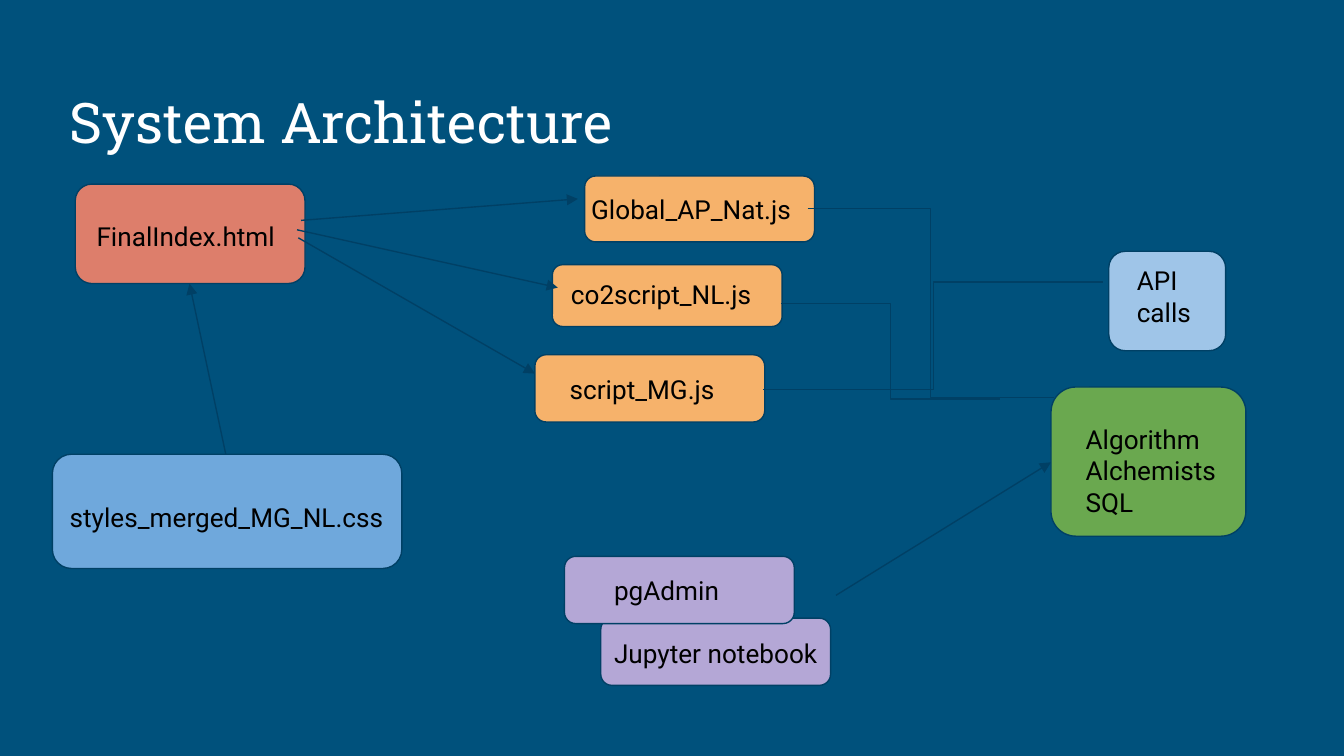
"""Build the System Architecture slide."""
from dataclasses import dataclass

from lxml import etree
from pptx import Presentation
from pptx import util as u
from pptx.dml import color
from pptx.enum import shapes, text
from pptx.oxml import ns


@dataclass(frozen=True)
class Theme:
    """Colours, fonts and type sizes of the slide."""
    background: str = "00517C"
    outline: str = "004065"
    heading: str = "FFFFFF"
    body: str = "000000"
    database: str = "6AA84F"
    api: str = "9FC5E8"
    tool: str = "B4A7D6"
    script: str = "F6B26B"
    style: str = "6FA8DC"
    page: str = "DD7E6B"
    heading_font: str = "Roboto Slab"
    body_font: str = "Roboto"
    heading_size: float = 30
    body_size: float = 14
    outline_width: float = 0.75


@dataclass(frozen=True)
class Node:
    """A rounded component box, in inches."""
    left: float
    top: float
    width: float
    height: float
    fill: str


@dataclass(frozen=True)
class Label:
    """Paragraphs placed at a spot, in inches, with the gap between them in points."""
    left: float
    top: float
    width: float
    height: float
    paragraphs: tuple[str, ...]
    gap: float = 0


@dataclass(frozen=True)
class Link:
    """A straight arrow or a plain elbow between two points."""
    start: tuple[float, float]
    end: tuple[float, float]
    elbow: bool = False


THEME = Theme()
SCRIPT_WIDTH = 1.71

NODES = (
    Node(7.82, 2.88, 1.45, 1.11, THEME.database),
    Node(8.25, 1.87, 0.87, 0.74, THEME.api),
    Node(4.47, 4.6, SCRIPT_WIDTH, 0.5, THEME.tool),
    Node(4.2, 4.14, SCRIPT_WIDTH, 0.5, THEME.tool),
    Node(3.98, 2.64, SCRIPT_WIDTH, 0.5, THEME.script),
    Node(4.11, 1.97, SCRIPT_WIDTH, 0.46, THEME.script),
    Node(4.35, 1.31, SCRIPT_WIDTH, 0.49, THEME.script),
    Node(0.39, 3.38, 2.6, 0.85, THEME.style),
    Node(0.56, 1.37, SCRIPT_WIDTH, 0.74, THEME.page),
)

LABELS = (
    Label(0.42, 3.63, 3.26, 0.49, ("styles_merged_MG_NL.css",)),
    Label(0.62, 1.54, 3.52, 0.41, ("FinalIndex.html",)),
    Label(4.3, 1.34, 2.35, 0.28, ("Global_AP_Nat.js",)),
    Label(4.15, 1.97, 2.1, 0.33, ("co2script_NL.js",)),
    Label(4.14, 2.68, 1.71, 0.33, ("script_MG.js",)),
    Label(8.36, 1.87, 0.81, 0.49, ("API calls",)),
    Label(7.98, 3.05, 1.2, 0.49, ("Algorithm Alchemists", "SQL")),
    Label(4.47, 4.17, 2.01, 0.95, ("pgAdmin", "Jupyter notebook"), gap=17),
)

LINKS = (
    Link((1.68, 3.38), (1.41, 2.11)),
    Link((2.24, 1.64), (4.3, 1.48)),
    Link((2.21, 1.71), (4.15, 2.14)),
    Link((2.22, 1.77), (3.98, 2.78)),
    Link((6.01, 1.55), (7.84, 2.96), elbow=True),
    Link((5.81, 2.26), (7.44, 2.97), elbow=True),
    Link((5.68, 2.9), (8.21, 2.1), elbow=True),
    Link((6.22, 4.43), (7.82, 3.44)),
)


def rgb(value: str) -> color.RGBColor:
    """Turn a hex string into a colour."""
    return color.RGBColor.from_string(value)


def outline(line) -> None:
    """Give a line the theme's colour and width."""
    line.color.rgb = rgb(THEME.outline)
    line.width = u.Pt(THEME.outline_width)


def set_up_frame(frame, anchor) -> None:
    """Set wrapping, insets and anchor of a text frame."""
    frame.word_wrap = True
    frame.auto_size = text.MSO_AUTO_SIZE.NONE
    frame.vertical_anchor = anchor
    frame.margin_left = frame.margin_right = u.Inches(0.1)
    frame.margin_top = frame.margin_bottom = u.Inches(0.1)


def add_run(paragraph, words: str, font: str, size: float, ink: str) -> None:
    """Add one formatted run to a left-aligned paragraph."""
    paragraph.alignment = text.PP_ALIGN.LEFT
    run = paragraph.add_run()
    run.text = words
    run.font.name = font
    run.font.size = u.Pt(size)
    run.font.color.rgb = rgb(ink)


def draw_title(slide, words: str) -> None:
    """Place and fill the title placeholder."""
    title = slide.shapes.title
    title.left, title.top = u.Inches(0.42), u.Inches(0.5)
    title.width, title.height = u.Inches(9.15), u.Inches(0.75)
    set_up_frame(title.text_frame, text.MSO_ANCHOR.BOTTOM)
    add_run(title.text_frame.paragraphs[0], words,
            THEME.heading_font, THEME.heading_size, THEME.heading)


def draw_node(slide, node: Node) -> None:
    """Draw one component box."""
    box = slide.shapes.add_shape(
        shapes.MSO_SHAPE.FLOWCHART_ALTERNATE_PROCESS,
        u.Inches(node.left), u.Inches(node.top),
        u.Inches(node.width), u.Inches(node.height))
    box.shadow.inherit = False
    box.fill.solid()
    box.fill.fore_color.rgb = rgb(node.fill)
    outline(box.line)


def draw_link(slide, link: Link) -> None:
    """Draw one connector, with an arrowhead when it is straight."""
    kind = shapes.MSO_CONNECTOR.ELBOW if link.elbow else shapes.MSO_CONNECTOR.STRAIGHT
    connector = slide.shapes.add_connector(
        kind, *(u.Inches(value) for value in link.start + link.end))
    outline(connector.line)
    properties = connector._element.spPr
    if not link.elbow:
        etree.SubElement(properties.find(ns.qn("a:ln")), ns.qn("a:tailEnd"), type="triangle")
    etree.SubElement(properties, ns.qn("a:effectLst"))


def draw_label(slide, label: Label) -> None:
    """Draw one label, a paragraph at a time."""
    frame = slide.shapes.add_textbox(
        u.Inches(label.left), u.Inches(label.top),
        u.Inches(label.width), u.Inches(label.height)).text_frame
    set_up_frame(frame, text.MSO_ANCHOR.TOP)
    for index, words in enumerate(label.paragraphs):
        paragraph = frame.add_paragraph() if index else frame.paragraphs[0]
        if index and label.gap:
            paragraph.space_before = u.Pt(label.gap)
        add_run(paragraph, words, THEME.body_font, THEME.body_size, THEME.body)


def main() -> None:
    """Build and save the slide."""
    deck = Presentation()
    deck.slide_width = u.Inches(10)
    deck.slide_height = deck.slide_width * 9 // 16
    slide = deck.slides.add_slide(deck.slide_layouts[5])
    slide.background.fill.solid()
    slide.background.fill.fore_color.rgb = rgb(THEME.background)
    draw_title(slide, "System Architecture")
    for node in NODES:
        draw_node(slide, node)
    for link in LINKS:
        draw_link(slide, link)
    for label in LABELS:
        draw_label(slide, label)
    deck.save("out.pptx")


if __name__ == "__main__":
    main()
